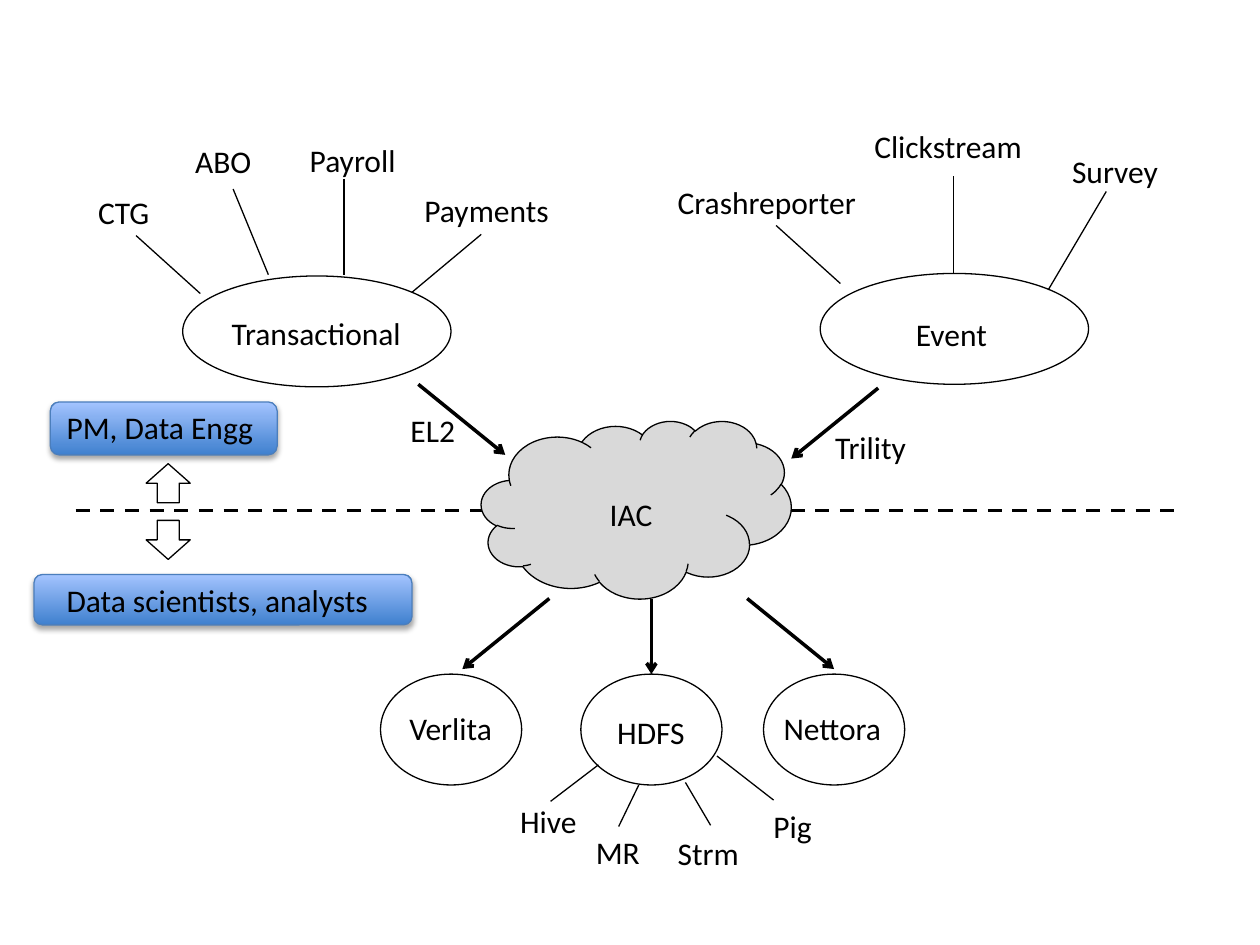
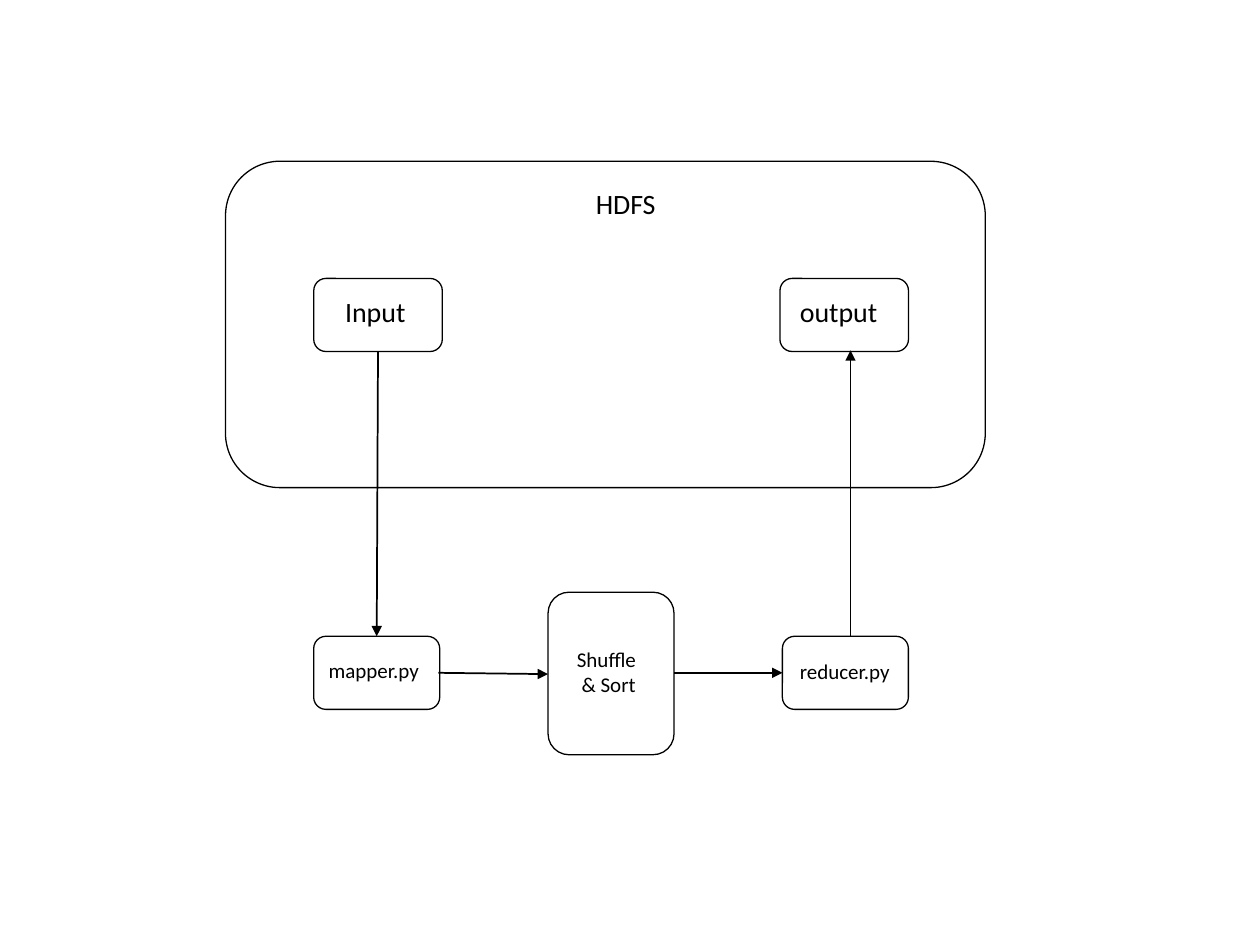
"""Draw a data platform map and a streaming job flow."""
from lxml import etree
from pptx import Presentation
from pptx.dml.color import RGBColor
from pptx.enum.dml import MSO_LINE
from pptx.enum.shapes import MSO_CONNECTOR, MSO_SHAPE
from pptx.enum.text import MSO_AUTO_SIZE
from pptx.oxml.ns import qn
from pptx.util import Inches, Pt

BLACK = RGBColor(0, 0, 0)
GREY = RGBColor(0xD9, 0xD9, 0xD9)
DEEP = RGBColor(0x3F, 0x80, 0xCE)
PALE = RGBColor(0xA4, 0xC4, 0xFF)
EDGE = RGBColor(0x4B, 0x7E, 0xBC)
FONT = "Calibri"
DASH = MSO_LINE.DASH
STRAIGHT = MSO_CONNECTOR.STRAIGHT
FIT = MSO_AUTO_SIZE.SHAPE_TO_FIT_TEXT
CLOUD, OVAL, ROUND = MSO_SHAPE.CLOUD, MSO_SHAPE.OVAL, MSO_SHAPE.ROUNDED_RECTANGLE
UP, DOWN = MSO_SHAPE.UP_ARROW, MSO_SHAPE.DOWN_ARROW


class Board:
    def __init__(self):
        self.deck = Presentation()
        self.deck.slide_width, self.deck.slide_height = Inches(10), Inches(7.5)

    def page(self, size):
        self.size = size
        self.items = self.deck.slides.add_slide(self.deck.slide_layouts[6]).shapes

    def shape(self, kind, x, y, w, h, fill=None, edge=BLACK):
        item = self.items.add_shape(kind, Inches(x), Inches(y), Inches(w), Inches(h))
        item.shadow.inherit = False
        item.line.color.rgb = edge
        item.line.width = Pt(0.75)
        if fill is None:
            item.fill.background()
        else:
            item.fill.solid()
            item.fill.fore_color.rgb = fill
        return item

    def badge(self, x, y, w, h):
        item = self.shape(ROUND, x, y, w, h, PALE, EDGE)
        item.fill.gradient()
        item.fill.gradient_angle = 90
        for stop, color in zip(item.fill.gradient_stops, (DEEP, PALE)):
            stop.color.rgb = color
        effect = item._element.spPr.find(qn("a:effectLst"))
        glow = etree.SubElement(effect, qn("a:outerShdw"), blurRad=str(Pt(3.1)),
                                dist=str(Pt(1.8)), dir="5400000", rotWithShape="0")
        color = etree.SubElement(glow, qn("a:srgbClr"), val=str(BLACK))
        etree.SubElement(color, qn("a:alpha"), val="35000")

    def line(self, x1, y1, x2, y2, width=0.75, tip=None, dash=None):
        item = self.items.add_connector(STRAIGHT, Inches(x1), Inches(y1), Inches(x2), Inches(y2))
        item.line.color.rgb = BLACK
        item.line.width = Pt(width)
        if dash is not None:
            item.line.dash_style = dash
        props = item._element.spPr
        if tip:
            etree.SubElement(props.find(qn("a:ln")), qn("a:tailEnd"), type=tip)
        etree.SubElement(props, qn("a:effectLst"))

    def text(self, words, x, y, w, h=0.4, size=None, wrap=False):
        box = self.items.add_textbox(Inches(x), Inches(y), Inches(w), Inches(h))
        frame = box.text_frame
        frame.word_wrap = wrap
        frame.auto_size = FIT
        for n, part in enumerate(words.split("\n")):
            para = frame.add_paragraph() if n else frame.paragraphs[0]
            run = para.add_run()
            run.text = part
            run.font.name = FONT
            run.font.size = Pt(size or self.size)
            run.font.color.rgb = BLACK


def draw_map(board):
    board.page(18)
    board.line(0.6, 4.05, 9.4, 4.05, 2, dash=DASH)
    board.shape(CLOUD, 3.82, 3.34, 2.46, 1.41, GREY)
    for x, y in ((1.45, 2.19), (6.51, 2.17)):
        board.shape(OVAL, x, y, 2.13, 0.88)
    for x in (3.02, 4.61, 6.06):
        board.shape(OVAL, x, 5.35, 1.12, 0.88)
    board.badge(0.4, 3.19, 1.8, 0.42)
    board.badge(0.27, 4.56, 3, 0.4)
    for kind, y in ((UP, 3.68), (DOWN, 4.13)):
        board.shape(kind, 1.16, y, 0.35, 0.31)
    for ends in (
        (1.08, 1.87, 1.59, 2.33), (1.85, 1.5, 2.13, 2.18),
        (2.73, 1.42, 2.73, 2.18), (3.82, 1.86, 3.27, 2.32),
        (6.16, 1.79, 6.67, 2.25), (8.78, 1.52, 8.32, 2.3),
        (7.57, 1.4, 7.57, 2.17), (4.75, 6.07, 4.37, 6.36),
        (5.07, 6.23, 4.91, 6.56), (5.44, 6.21, 5.64, 6.55),
        (5.69, 6, 6.14, 6.35),
    ):
        board.line(*ends)
    for x, y, dx, dy in (
        (3.32, 3.05, 0.69, 0.56), (6.97, 3.08, -0.69, 0.56),
        (4.36, 4.75, -0.69, 0.56), (5.93, 4.75, 0.69, 0.56),
        (5.17, 4.75, 0, 0.6),
    ):
        board.line(x, y, x + dx, y + dy, 2, "arrow")
    for label in (
        ("CTG", 0.68, 1.48, 0.62), ("ABO", 1.45, 1.08, 0.68),
        ("Payroll", 2.36, 1.07, 0.9), ("Payments", 3.27, 1.47, 1.21),
        ("Crashreporter", 5.28, 1.4, 1.64), ("Survey", 8.41, 1.16, 0.89),
        ("Clickstream", 6.84, 0.96, 1.39), ("Transactional", 1.74, 2.44, 1.58),
        ("Event", 7.17, 2.45, 0.78), ("IAC", 4.74, 3.88, 0.55),
        ("Verlita", 3.15, 5.58, 0.93), ("HDFS", 4.8, 5.61, 0.75),
        ("Nettora", 6.12, 5.58, 1.02), ("Hive", 4.03, 6.32, 0.66),
        ("MR", 4.63, 6.56, 0.55), ("Strm", 5.28, 6.57, 0.69),
        ("Pig", 6.04, 6.36, 0.51), ("EL2", 3.16, 3.21, 0.56),
        ("Trility", 6.53, 3.35, 0.86), ("PM, Data Engg", 0.43, 3.19, 1.76),
    ):
        board.text(*label)
    board.text("Data scientists, analysts", 0.43, 4.56, 2.9, wrap=True)


def draw_flow(board):
    board.page(16)
    for place in (
        (1.79, 1.28, 6.03, 2.59), (2.49, 2.21, 1.02, 0.58),
        (6.19, 2.21, 1.02, 0.58), (2.49, 5.05, 1, 0.58),
        (6.21, 5.05, 1, 0.58), (4.35, 4.7, 1, 1.29),
    ):
        board.shape(ROUND, *place)
    for ends in (
        (3, 2.79, 2.99, 5.05), (3.48, 5.34, 4.35, 5.35),
        (5.35, 5.34, 6.21, 5.34), (6.75, 5.05, 6.75, 2.78),
    ):
        board.line(*ends, 1, "triangle")
    for label in (
        ("HDFS", 4.63, 1.43, 0.69, 0.37), ("Input", 2.64, 2.29, 0.69, 0.37),
        ("output", 6.25, 2.29, 0.82, 0.37), ("mapper.py ", 2.51, 5.17, 0.95, 0.3, 12),
        ("Shuffle\n & Sort", 4.48, 5.08, 0.68, 0.5, 12),
        ("reducer.py ", 6.25, 5.18, 0.95, 0.3, 12),
    ):
        board.text(*label)


board = Board()
draw_map(board)
draw_flow(board)
board.deck.save("out.pptx")
